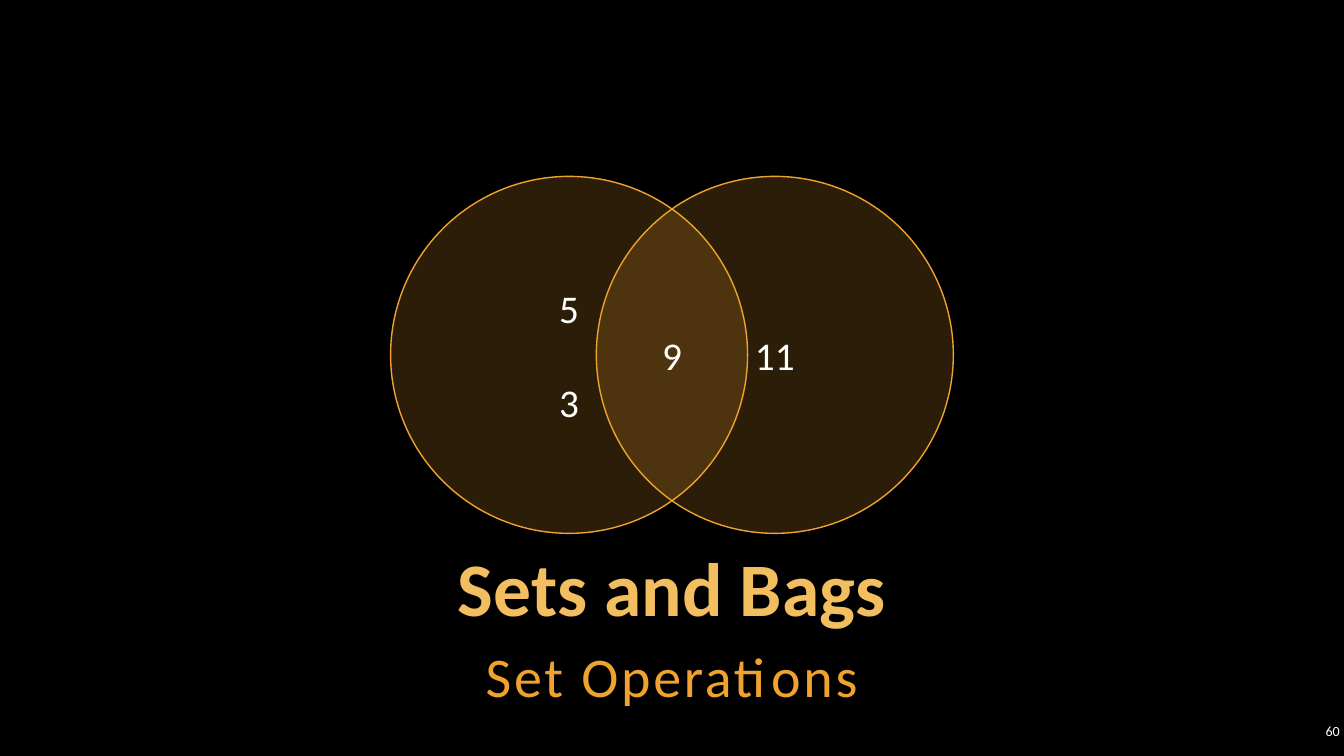
from pptx import Presentation
from pptx.dml.color import RGBColor
from pptx.enum.shapes import MSO_SHAPE
from pptx.enum.text import MSO_ANCHOR, PP_ALIGN
from pptx.oxml.ns import qn
from pptx.util import Pt
from lxml import etree

COLORS = {"background": "000000", "title": "F3BE60", "accent": "F0A22E", "text": "FFFFFF"}


def add_run(paragraph, text, size, color, align=PP_ALIGN.CENTER, bold=False):
    paragraph.alignment = align
    run = paragraph.add_run()
    run.text = text
    run.font.name = "Calibri"
    run.font.size = Pt(size)
    run.font.bold = bold
    run.font.color.rgb = RGBColor.from_string(COLORS[color])
    return run


def set_frame(frame, anchor):
    """Wrap the text, anchor it and give it narrow insets."""
    frame.word_wrap = True
    frame.vertical_anchor = anchor
    frame.margin_left = frame.margin_right = Pt(3)
    frame.margin_top = frame.margin_bottom = Pt(3)


deck = Presentation()
deck.slide_width, deck.slide_height = Pt(960), Pt(540)
slide = deck.slides.add_slide(deck.slide_layouts[5])
slide.background.fill.solid()
slide.background.fill.fore_color.rgb = RGBColor.from_string(COLORS["background"])

# Headings
title = slide.shapes.title
title.left, title.top, title.width, title.height = Pt(72), Pt(390), Pt(816), Pt(65)
set_frame(title.text_frame, MSO_ANCHOR.BOTTOM)
title_line = title.text_frame.paragraphs[0]
title_line.line_spacing = 0.9
add_run(title_line, "Sets and Bags", 54, "title", bold=True)

subtitle = slide.shapes.add_textbox(Pt(72), Pt(453), Pt(816), Pt(57))
set_frame(subtitle.text_frame, MSO_ANCHOR.TOP)
subtitle_line = subtitle.text_frame.paragraphs[0]
subtitle_line.line_spacing = 1.05
subtitle_line.space_after = Pt(6)
subtitle_run = add_run(subtitle_line, "Set Operations", 40, "accent")
subtitle_run.font._element.set("spc", "200")

page_number = slide.shapes.add_textbox(Pt(926), Pt(514), Pt(34), Pt(16))
set_frame(page_number.text_frame, MSO_ANCHOR.MIDDLE)
add_run(page_number.text_frame.paragraphs[0], "60", 10, "text", PP_ALIGN.RIGHT)

# Venn diagram, centred on the slide
diameter, center_gap = 255, 147
left_edge = (960 - diameter - center_gap) / 2
shared = "9"
for left, members in [(left_edge + center_gap, ["11"]), (left_edge, ["5", shared, "3"])]:
    circle = slide.shapes.add_shape(MSO_SHAPE.OVAL, Pt(left), Pt(126), Pt(diameter), Pt(diameter))
    circle.shadow.inherit = False
    circle.fill.solid()
    circle.fill.fore_color.rgb = RGBColor.from_string(COLORS["accent"])
    fill_color = circle.fill._xPr.find(qn("a:solidFill"))[0]
    etree.SubElement(fill_color, qn("a:alpha"), val="18000")
    circle.line.color.rgb = RGBColor.from_string(COLORS["accent"])
    circle.line.width = Pt(1)
    frame = circle.text_frame
    frame.vertical_anchor = MSO_ANCHOR.MIDDLE
    for index, member in enumerate(members):
        line = frame.add_paragraph() if index else frame.paragraphs[0]
        add_run(line, member, 28, "text")
        if member == shared:
            # An indent of the gap moves centred text by half of it, into the overlap
            line._p.get_or_add_pPr().set("marL", str(Pt(center_gap)))

deck.save("out.pptx")
